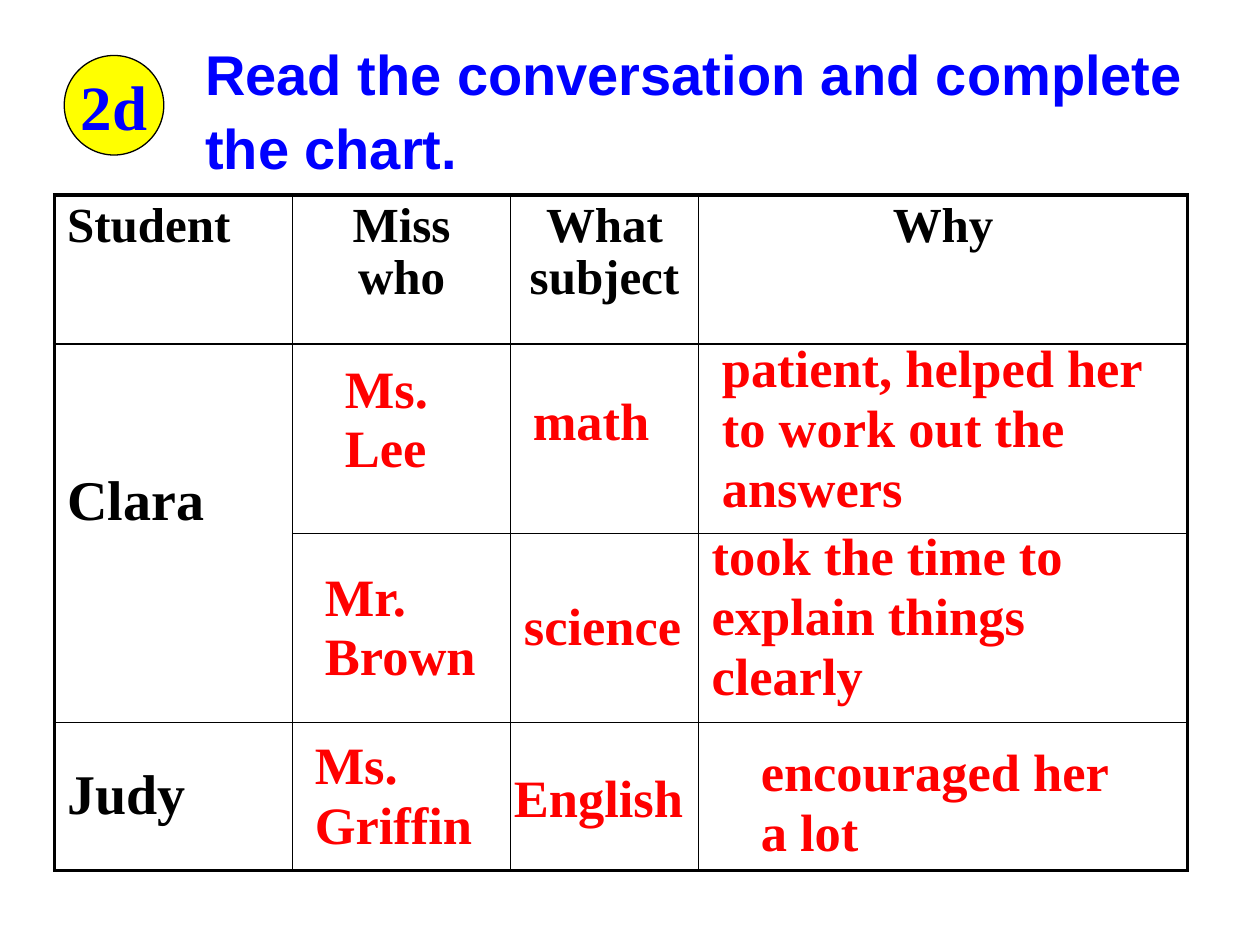
from lxml.etree import SubElement
from pptx import Presentation
from pptx.dml.color import RGBColor
from pptx.enum.shapes import MSO_SHAPE as Shape
from pptx.enum.text import MSO_ANCHOR as Anchor, MSO_AUTO_SIZE as AutoSize, PP_ALIGN as Align
from pptx.oxml.ns import qn
from pptx.util import Pt

BLACK, BLUE, RED, YELLOW = "000000", "0000FF", "FF0000", "FFFF00"
SERIF, SANS = "Times New Roman", "Arial"


def color(value):
    return RGBColor.from_string(value)


class ExerciseSlide:
    def __init__(self, slide):
        self.shapes = slide.shapes

    def add_words(self, frame, text, size, ink, font=SERIF, align=Align.LEFT, spacing=0.95):
        paragraph = frame.paragraphs[0]
        paragraph.alignment = align
        paragraph.line_spacing = spacing
        run = paragraph.add_run()
        run.text = text
        for name, value in {"name": font, "size": Pt(size), "bold": True}.items():
            setattr(run.font, name, value)
        run.font.color.rgb = color(ink)

    def label(self, box, text, size=30, ink=RED, wrap=True, **style):
        frame = self.shapes.add_textbox(*map(Pt, box)).text_frame
        frame.word_wrap = wrap
        frame.auto_size = AutoSize.SHAPE_TO_FIT_TEXT
        self.add_words(frame, text, size, ink, **style)

    def badge(self, box, text):
        circle = self.shapes.add_shape(Shape.OVAL, *map(Pt, box))
        circle.shadow.inherit = False
        circle.fill.solid()
        circle.fill.fore_color.rgb = color(YELLOW)
        circle.line.color.rgb = color(BLACK)
        circle.line.width = Pt(0.75)
        circle.text_frame.word_wrap = False
        circle.text_frame.vertical_anchor = Anchor.MIDDLE
        self.add_words(circle.text_frame, text, 36, BLUE, align=Align.CENTER, spacing=1)

    def border(self, cell, side, width):
        line = SubElement(cell._tc.get_or_add_tcPr(), qn(f"a:ln{side}"), w=str(Pt(width)))
        fill = SubElement(line, qn("a:solidFill"))
        SubElement(fill, qn("a:srgbClr"), val=BLACK)

    def grid(self, left, top, widths, heights):
        rows, columns = len(heights), len(widths)
        box = left, top, sum(widths), sum(heights)
        table = self.shapes.add_table(rows, columns, *map(Pt, box)).table
        table.first_row = table.horz_banding = False
        for column, width in zip(table.columns, widths):
            column.width = Pt(width)
        for row, height in zip(table.rows, heights):
            row.height = Pt(height)
        for r in range(rows):
            for c in range(columns):
                cell = table.cell(r, c)
                outer = {"L": c == 0, "R": c == columns - 1, "T": r == 0, "B": r == rows - 1}
                for side, is_outer in outer.items():
                    self.border(cell, side, 2.25 if is_outer else 1)
                cell.fill.background()
        return table


def main():
    deck = Presentation()
    deck.slide_width, deck.slide_height = Pt(720), Pt(540)
    page = ExerciseSlide(deck.slides.add_slide(deck.slide_layouts[6]))

    page.label((110.2, 15.1, 578.2, 91.4), "Read the conversation and complete the chart.",
               size=32, ink=BLUE, font=SANS, spacing=1.1)

    chart = page.grid(31.2, 111.5, (136, 124.5, 107.5, 279.5), (85, 108.5, 108, 84.5))
    for column, heading in enumerate(("Student", "Miss who", "What subject", "Why")):
        page.add_words(chart.cell(0, column).text_frame, heading, 28, BLACK,
                       align=Align.CENTER if column else Align.LEFT)
    clara, judy = chart.cell(1, 0), chart.cell(3, 0)
    clara.merge(chart.cell(2, 0))
    clara.margin_top = Pt(74)
    judy.vertical_anchor = Anchor.MIDDLE
    for student, name in ((clara, "Clara"), (judy, "Judy")):
        page.add_words(student.text_frame, name, 32, BLACK)

    page.badge((36.7, 31.7, 56.9, 56.9), "2d")

    teachers = (
        ((190, 202.3, 90.7, 75.6), "Ms. Lee"),
        ((178.6, 321.1, 107.3, 75.6), "Mr. Brown"),
        ((172.8, 417.6, 113, 75.6), "Ms. Griffin"),
    )
    subjects = (
        ((297.4, 221, 81.4, 41.8), "math"),
        ((292.3, 337.7, 104.4, 41.8), "science"),
        ((286.6, 436.3, 110.9, 41.8), "English"),
    )
    reasons = (
        ((405.4, 190.8, 266.4, 110.2), "patient, helped her to work out the answers"),
        ((399.6, 298.1, 266.4, 110.2), "took the time to explain things clearly"),
        ((427.7, 421.2, 221, 75.6), "encouraged her a lot"),
    )
    for answers, wrap in ((teachers, True), (subjects, False), (reasons, True)):
        for box, answer in answers:
            page.label(box, answer, wrap=wrap)

    deck.save("out.pptx")


if __name__ == "__main__":
    main()
